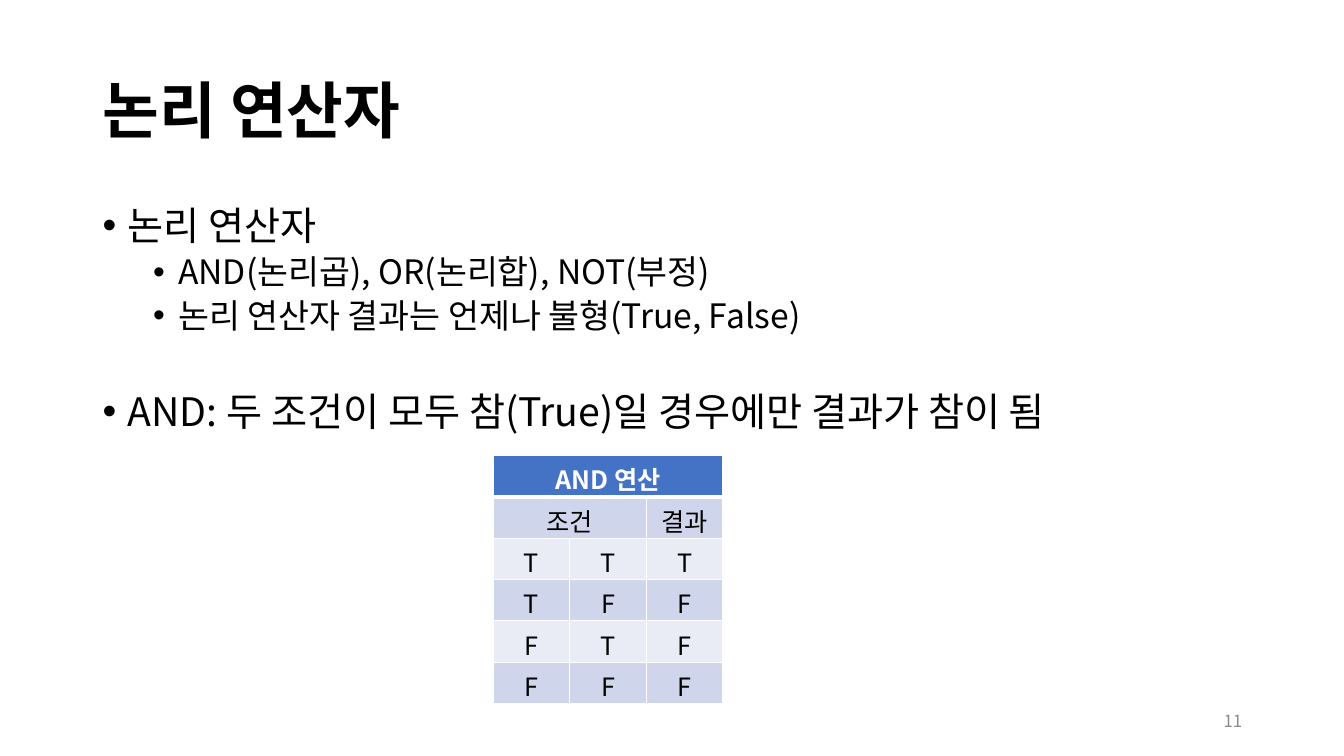
from dataclasses import dataclass

from pptx import Presentation
from pptx.dml.color import RGBColor
from pptx.enum.text import MSO_ANCHOR as Anchor, MSO_AUTO_SIZE as AutoSize, PP_ALIGN as Align
from pptx.oxml.ns import qn
from pptx.util import Inches, Pt
from lxml.etree import SubElement

FONT = "Noto Sans CJK KR"
COLORS = {
    "text": "000000",
    "white": "FFFFFF",
    "number": "8C8C8C",
    "header": "4472C4",
    "dark_band": "CFD5EA",
    "light_band": "E9EBF5",
}


@dataclass(frozen=True)
class Bullet:
    """One bulleted line of the body."""

    text: str
    level: int = 0
    size: float = 28
    before: float = 10


BULLETS = [
    Bullet("논리 연산자"),
    Bullet("AND(논리곱), OR(논리합), NOT(부정)", 1, 24, 5),
    Bullet("논리 연산자 결과는 언제나 불형(True, False)", 1, 24, 5),
    Bullet("AND: 두 조건이 모두 참(True)일 경우에만 결과가 참이 됨", before=41),
]
TRUTH_TABLE = [
    ["AND 연산", "", ""],
    ["조건", "", "결과"],
    ["T", "T", "T"],
    ["T", "F", "F"],
    ["F", "T", "F"],
    ["F", "F", "F"],
]


def write(paragraph, text: str, *, size: float, color: str = "text", bold: bool = False,
          align: Align = Align.LEFT, spacing: float = 1.0, before: float = 0) -> None:
    """Put formatted text into a paragraph."""
    paragraph.alignment = align
    paragraph.line_spacing = spacing
    paragraph.space_before = Pt(before)
    run = paragraph.add_run()
    run.text = text
    run.font.size = Pt(size)
    run.font.bold = bold
    run.font.name = FONT
    run.font.color.rgb = RGBColor.from_string(COLORS[color])
    SubElement(run.font._element, qn("a:ea"), typeface=FONT)


def add_title(slide, text: str) -> None:
    """Place and fill the title placeholder."""
    title = slide.shapes.title
    title.left, title.top, title.width, title.height = map(Inches, (0.92, 0.4, 11.5, 1.45))
    title.text_frame.vertical_anchor = Anchor.MIDDLE
    write(title.text_frame.paragraphs[0], text, size=44, bold=True, spacing=0.9)


def add_bullets(slide, bullets: list[Bullet]) -> None:
    """Draw the body as a bulleted list."""
    body = slide.shapes.add_textbox(*map(Inches, (0.92, 2, 11.5, 4.76))).text_frame
    body.word_wrap = True
    body.auto_size = AutoSize.TEXT_TO_FIT_SHAPE
    for index, bullet in enumerate(bullets):
        line = body.add_paragraph() if index else body.paragraphs[0]
        line.level = bullet.level
        write(line, bullet.text, size=bullet.size, spacing=0.9, before=bullet.before)
        properties = line._p.get_or_add_pPr()
        properties.set("marL", str(Inches(0.25 + 0.5 * bullet.level)))
        properties.set("indent", str(Inches(-0.25)))
        SubElement(properties, qn("a:buFont"), typeface="Arial")
        SubElement(properties, qn("a:buChar"), char="•")


def add_borders(cell, bottom_width: float) -> None:
    """Give a cell white borders, drawn before its fill."""
    properties = cell._tc.get_or_add_tcPr()
    for index, side in enumerate(("lnL", "lnR", "lnT", "lnB")):
        width = bottom_width if side == "lnB" else 1
        border = SubElement(properties, qn(f"a:{side}"), w=str(Pt(width)))
        fill = SubElement(border, qn("a:solidFill"))
        SubElement(fill, qn("a:srgbClr"), val=COLORS["white"])
        properties.insert(index, border)


def add_truth_table(slide, rows: list[list[str]]) -> None:
    """Draw the truth table with merged headings and banded rows."""
    area = map(Inches, (4.89, 4.52, 2.28, 0.41 * len(rows)))
    table = slide.shapes.add_table(len(rows), len(rows[0]), *area).table
    table.cell(0, 0).merge(table.cell(0, 2))
    table.cell(1, 0).merge(table.cell(1, 1))
    for row, values in enumerate(rows):
        heading = row == 0
        band = "header" if heading else "dark_band" if row % 2 else "light_band"
        for column, value in enumerate(values):
            cell = table.cell(row, column)
            cell.fill.solid()
            cell.fill.fore_color.rgb = RGBColor.from_string(COLORS[band])
            add_borders(cell, bottom_width=3 if heading else 1)
            if value:
                write(cell.text_frame.paragraphs[0], value, size=18, bold=heading,
                      color="white" if heading else "text", align=Align.CENTER)


def add_page_number(slide, number: str) -> None:
    """Write the page number at the lower right."""
    frame = slide.shapes.add_textbox(*map(Inches, (9.42, 6.95, 3, 0.4))).text_frame
    frame.word_wrap = True
    frame.vertical_anchor = Anchor.MIDDLE
    write(frame.paragraphs[0], number, size=12, color="number", align=Align.RIGHT)


def main() -> None:
    """Build and save the slide."""
    deck = Presentation()
    deck.slide_width, deck.slide_height = Inches(13.33), Inches(7.5)
    slide = deck.slides.add_slide(deck.slide_layouts[5])
    add_title(slide, "논리 연산자")
    add_bullets(slide, BULLETS)
    add_page_number(slide, "11")
    add_truth_table(slide, TRUTH_TABLE)
    deck.save("out.pptx")


if __name__ == "__main__":
    main()
